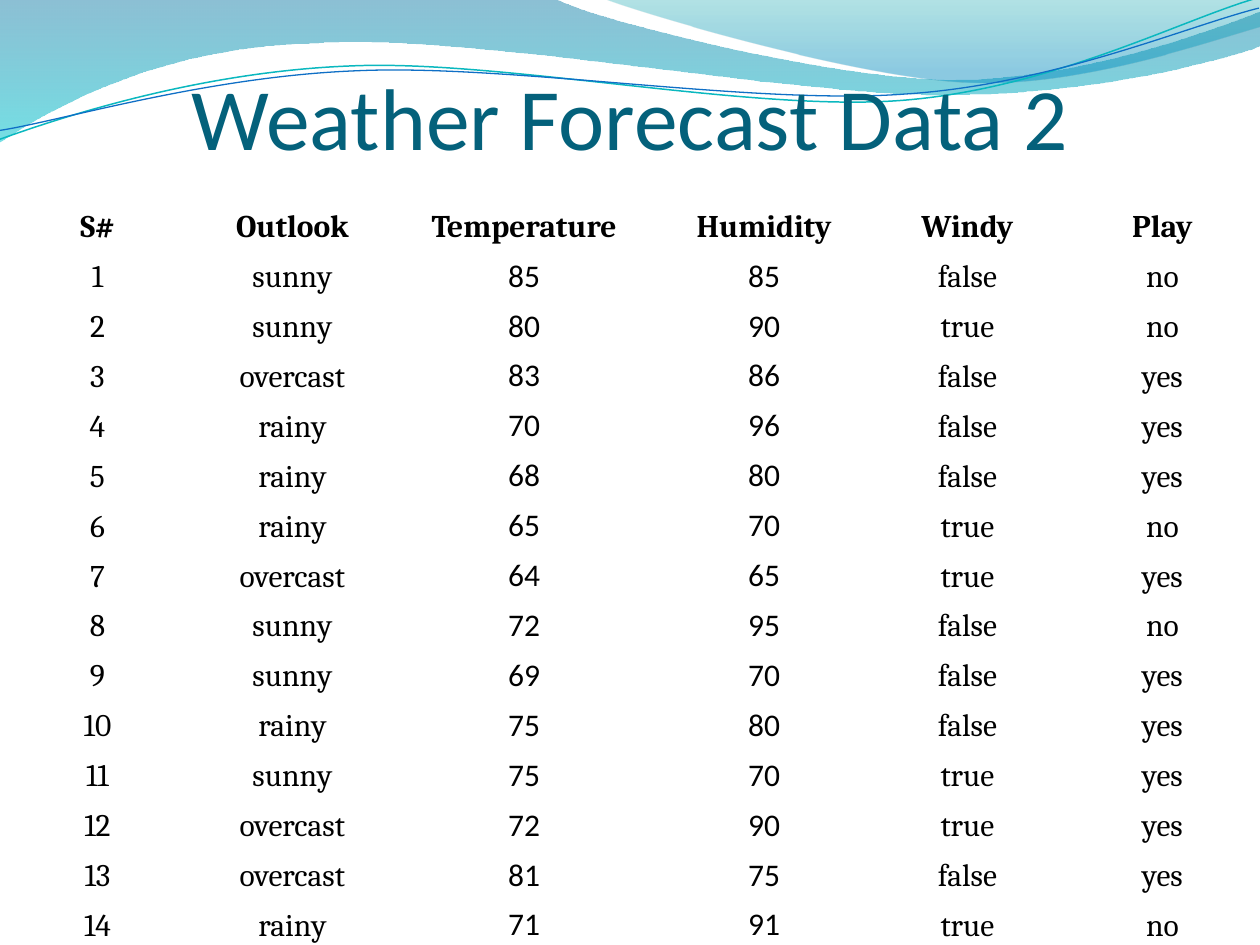
from lxml.etree import SubElement
from pptx import Presentation
from pptx.dml.color import RGBColor
from pptx.enum.text import MSO_ANCHOR as ANCHOR, MSO_AUTO_SIZE as AUTO, PP_ALIGN as ALIGN
from pptx.oxml import parse_xml
from pptx.oxml.ns import nsdecls, qn
from pptx.util import Inches, Pt

COLORS = {
    "title": "04617B", "text": "000000",
    "wave_top": "0074A1", "wave_bottom": "00C6CF",
    "crest_top": "00A1A9", "crest_bottom": "008BBF",
    "teal_line": "0AB8BF", "blue_line": "0F6FC6",
}


def rgb(name):
    return RGBColor.from_string(COLORS[name])


def add_curve(s, start, segments, close):
    points = [seg[k:k + 2] for seg in segments for k in range(0, len(seg), 2)]
    fb = s.shapes.build_freeform(Inches(start[0]), Inches(start[1]))
    fb.add_line_segments([(Inches(x), Inches(y)) for x, y in points], close=close)
    sp = fb.convert_to_shape()
    sp.shadow.inherit = False
    steps = iter(list(sp.element.spPr.iter(qn("a:lnTo"))))
    for seg in segments:
        step = next(steps)
        if len(seg) == 6:
            curve = parse_xml(f"<a:cubicBezTo {nsdecls('a')}/>")
            step.addprevious(curve)
            for node in (step, next(steps), next(steps)):
                curve.append(node[0])
                node.getparent().remove(node)
    return sp


prs = Presentation()
prs.slide_width, prs.slide_height = Inches(10), Inches(7.5)
s = prs.slides.add_slide(prs.slide_layouts[5])

waves = [
    ((0, 0), [(4.4, -0.01), (4.76, 0.17, 6.64, 0.63, 7.58, 0.63),
              (8.53, 0.63, 9.58, 0.26, 10, 0.09), (10.01, 0.36),
              (9.83, 0.44, 8.7, 0.76, 7.46, 0.75), (6.22, 0.75, 3.82, 0.28, 2.57, 0.34),
              (1.29, 0.36, 0.46, 0.83, -0.01, 1.13)],
     [("wave_top", 0, 45), ("wave_bottom", 1, 55)]),
    ((4.79, -0.01), [(5.09, 0.11, 6.82, 0.62, 7.69, 0.65),
                     (8.56, 0.69, 9.61, 0.32, 10, 0.21), (10, 0)],
     [("crest_top", 0, 30), ("crest_bottom", 0.8, 45)]),
]
for start, segments, stops in waves:
    sp = add_curve(s, start, segments, True)
    sp.line.fill.background()
    sp.fill.gradient()
    sp.fill.gradient_angle = 270
    for stop, (name, position, opacity) in zip(sp.fill.gradient_stops, stops):
        stop.color.rgb = rgb(name)
        stop.position = position
    for clr, (name, position, opacity) in zip(sp.element.spPr.iter(qn("a:srgbClr")), stops):
        SubElement(clr, qn("a:alpha"), val=str(opacity * 1000))

lines = [
    ((-0.02, 0.87), [(0.47, 0.72, 1.58, 0.41, 2.78, 0.42), (3.96, 0.42, 5.91, 0.93, 7.12, 0.9),
                     (8.32, 0.87, 9.4, 0.36, 10, 0.22)], "teal_line", 0.85),
    ((-0.02, 0.8), [(0.46, 0.75, 1.64, 0.45, 2.83, 0.46), (4.03, 0.46, 5.96, 0.88, 7.16, 0.85),
                    (8.35, 0.83, 9.42, 0.42, 10.01, 0.3)], "blue_line", 0.75),
]
for start, segments, name, width in lines:
    sp = add_curve(s, start, segments, False)
    sp.rotation = 357.3
    sp.fill.background()
    sp.line.color.rgb = rgb(name)
    sp.line.width = Pt(width)

title = s.shapes.title
title.element.getparent().append(title.element)
title.left, title.top, title.width, title.height = map(Inches, (0.5, 0.08, 9, 1.25))
tf = title.text_frame
tf.text = "Weather Forecast Data 2"
tf.auto_size = AUTO.NONE
tf.vertical_anchor = ANCHOR.BOTTOM
tf.margin_left = tf.margin_right = tf.margin_bottom = 0
tf.margin_top = Inches(0.05)
p = tf.paragraphs[0]
p.alignment = ALIGN.CENTER
p.font.name, p.font.size = "Calibri", Pt(50)
p.font.color.rgb = rgb("title")

header = ["S#", "Outlook", "Temperature", "Humidity", "Windy", "Play"]
days = [
    ("sunny", 85, 85, "false", "no"),
    ("sunny", 80, 90, "true", "no"),
    ("overcast", 83, 86, "false", "yes"),
    ("rainy", 70, 96, "false", "yes"),
    ("rainy", 68, 80, "false", "yes"),
    ("rainy", 65, 70, "true", "no"),
    ("overcast", 64, 65, "true", "yes"),
    ("sunny", 72, 95, "false", "no"),
    ("sunny", 69, 70, "false", "yes"),
    ("rainy", 75, 80, "false", "yes"),
    ("sunny", 75, 70, "true", "yes"),
    ("overcast", 72, 90, "true", "yes"),
    ("overcast", 81, 75, "false", "yes"),
    ("rainy", 71, 91, "true", "no"),
]
rows = [header] + [(n, *day) for n, day in enumerate(days, 1)]
table_w, table_h, header_h = 10, 6.25, 0.7
wide = {"Temperature": 2.13, "Humidity": 1.68}
col_w = (table_w - sum(wide.values())) / (len(header) - len(wide))
row_h = (table_h - header_h) / len(days)
table = s.shapes.add_table(len(rows), len(header), 0, Inches(1.25),
                           Inches(table_w), Inches(table_h)).table
table.first_row = table.horz_banding = False
for col, name in zip(table.columns, header):
    col.width = Inches(wide.get(name, col_w))
for i, row in enumerate(rows):
    table.rows[i].height = Inches(row_h if i else header_h)
    for j, value in enumerate(row):
        cell = table.cell(i, j)
        cell.text = str(value)
        cell.fill.background()
        cell.vertical_anchor = ANCHOR.BOTTOM
        is_number = isinstance(value, int)
        inset = 0.01 if is_number or j == 0 else 0.02
        cell.margin_left = cell.margin_right = cell.margin_top = Inches(inset)
        cell.margin_bottom = 0
        p = cell.text_frame.paragraphs[0]
        p.alignment = ALIGN.CENTER
        p.font.name = "Calibri" if is_number and j else "Cambria"
        p.font.size = Pt(18)
        p.font.bold = i == 0
        p.font.color.rgb = rgb("text")

prs.save("out.pptx")
